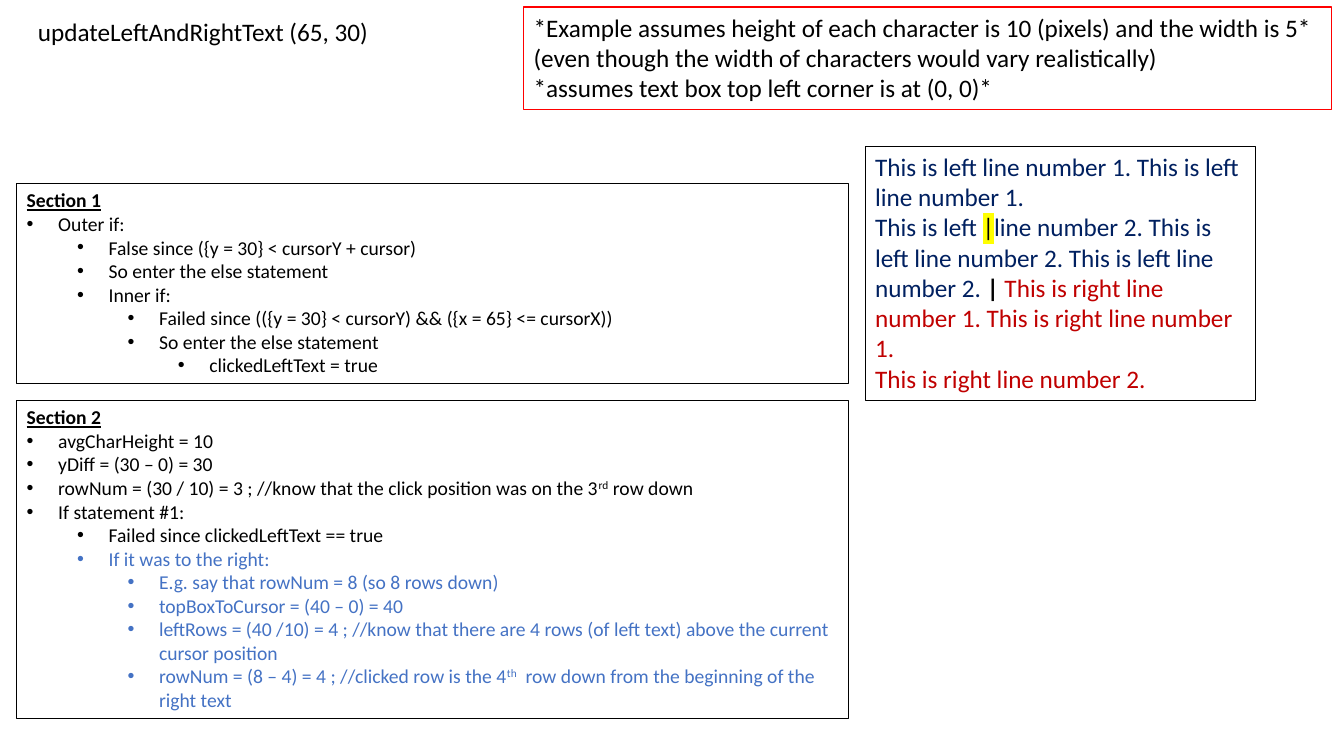
"""Build the slide that walks through a click in the left and right text."""
from lxml.etree import SubElement
from pptx import Presentation
from pptx.dml.color import RGBColor
from pptx.enum.shapes import MSO_SHAPE
from pptx.enum.text import MSO_ANCHOR, MSO_AUTO_SIZE, PP_ALIGN
from pptx.oxml.ns import qn
from pptx.util import Pt

BLACK, RED, NAVY, MAROON, BLUE = "000000", "FF0000", "002060", "C00000", "4472C4"
YELLOW = "FFFF00"


def tint(code):
    return RGBColor.from_string(code)


def write(para, text, size=18, color=BLACK, bold=False, under=False, mark=None, lift=0):
    run = para.add_run()
    run.text = text
    font = run.font
    font.size, font.bold, font.underline = Pt(size), bold, under
    font.color.rgb = tint(color)
    props = font._element
    if mark:
        glow = SubElement(props, qn("a:highlight"))
        SubElement(glow, qn("a:srgbClr"), val=mark)
    if lift:
        props.set("baseline", str(lift * 1000))
    font.name = "Calibri"


class Deck:
    def __init__(self, font_size, line_width):
        self.size, self.width = font_size, line_width
        self.file = Presentation()
        self.file.slide_width, self.file.slide_height = Pt(960), Pt(540)
        self.slide = self.file.slides.add_slide(self.file.slide_layouts[6])

    def setup(self, shape, wrap):
        frame = shape.text_frame
        frame.word_wrap = wrap
        frame.auto_size = MSO_AUTO_SIZE.SHAPE_TO_FIT_TEXT
        frame.vertical_anchor = MSO_ANCHOR.TOP
        return frame

    def label(self, spot, text):
        shape = self.slide.shapes.add_textbox(*map(Pt, spot))
        write(self.setup(shape, False).paragraphs[0], text, size=self.size)

    def box(self, spot, lines, edge=BLACK, wrap=True):
        shape = self.slide.shapes.add_shape(MSO_SHAPE.RECTANGLE, *map(Pt, spot))
        shape.shadow.inherit = False
        shape.fill.background()
        shape.line.color.rgb = tint(edge)
        shape.line.width = Pt(self.width)
        frame = self.setup(shape, wrap)
        for row, runs in enumerate(lines):
            para = frame.add_paragraph() if row else frame.paragraphs[0]
            para.alignment = PP_ALIGN.LEFT
            for text, style in runs:
                write(para, text, **{"size": self.size, **style})
        return frame

    def section(self, spot, title, items):
        head = [(title, {"size": 14, "bold": True, "under": True})]
        frame = self.box(spot, [head])
        for level, text, color in items:
            para = frame.add_paragraph()
            para.alignment, para.level = PP_ALIGN.LEFT, level
            props = para._p.get_or_add_pPr()
            props.set("marL", str(Pt(22.5 + 36 * level)))
            props.set("indent", str(Pt(-22.5)))
            SubElement(props, qn("a:buFont"), typeface="Arial")
            SubElement(props, qn("a:buChar"), char="•")
            for part, piece in enumerate(text.split("^")):
                write(para, piece, size=14, color=color, lift=30 * (part % 2))

    def save(self):
        self.file.save("out.pptx")


def main():
    deck = Deck(font_size=18, line_width=0.75)
    deck.label((20, 8, 258, 29), "updateLeftAndRightText (65, 30)")

    notes = [
        "*Example assumes height of each character is 10 (pixels) and the width is 5*",
        "(even though the width of characters would vary realistically)",
        "*assumes text box top left corner is at (0, 0)*",
    ]
    deck.box((374, 5, 577, 73), [[(note, {})] for note in notes], edge=RED, wrap=False)

    left, right = {"color": NAVY}, {"color": MAROON}
    deck.box((618, 104.5, 279, 181.5), [
        [("This is left line number 1. This is left line number 1.", left)],
        [
            ("This is left ", left),
            ("|", {"mark": YELLOW}),
            ("line number 2. This is left line number 2. This is left line number 2. ", left),
            ("| ", {"bold": True}),
            ("This is right line number 1. This is right line number 1.", right),
        ],
        [("This is right line number 2.", right)],
    ])

    deck.section((12, 131, 594, 143), "Section 1", [
        (0, "Outer if:", BLACK),
        (1, "False since ({y = 30} < cursorY + cursor)", BLACK),
        (1, "So enter the else statement", BLACK),
        (1, "Inner if:", BLACK),
        (2, "Failed since (({y = 30} < cursorY) && ({x = 65} <= cursorX))", BLACK),
        (2, "So enter the else statement", BLACK),
        (3, "clickedLeftText = true", BLACK),
    ])
    deck.section((12, 286, 594, 227.5), "Section 2", [
        (0, "avgCharHeight = 10", BLACK),
        (0, "yDiff = (30 – 0) = 30", BLACK),
        (0, "rowNum = (30 / 10) = 3 ; //know that the click position was on the 3^rd^ row down", BLACK),
        (0, "If statement #1:", BLACK),
        (1, "Failed since clickedLeftText == true", BLACK),
        (1, "If it was to the right:", BLUE),
        (2, "E.g. say that rowNum = 8 (so 8 rows down)", BLUE),
        (2, "topBoxToCursor = (40 – 0) = 40", BLUE),
        (2, "leftRows = (40 /10) = 4 ; //know that there are 4 rows (of left text) "
            "above the current cursor position", BLUE),
        (2, "rowNum = (8 – 4) = 4 ; //clicked row is the 4^th^  row down "
            "from the beginning of the right text", BLUE),
    ])
    deck.save()


if __name__ == "__main__":
    main()
